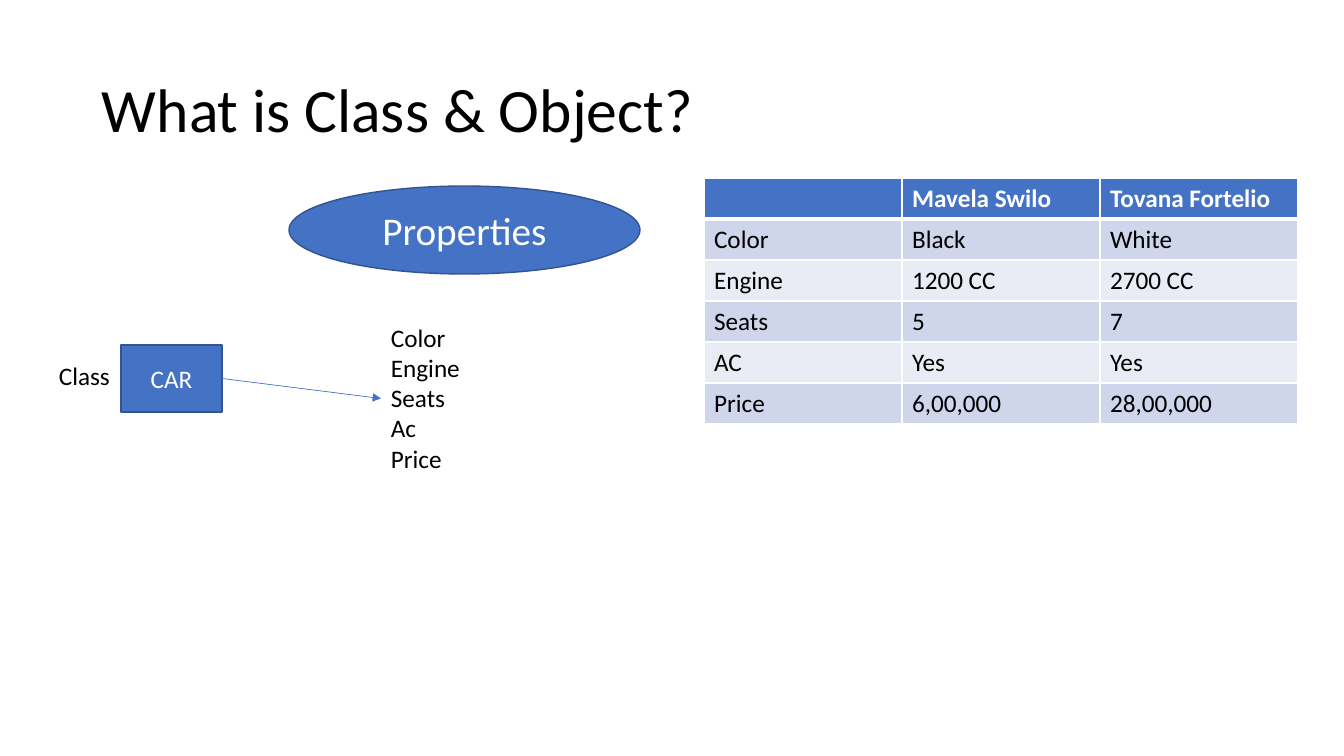
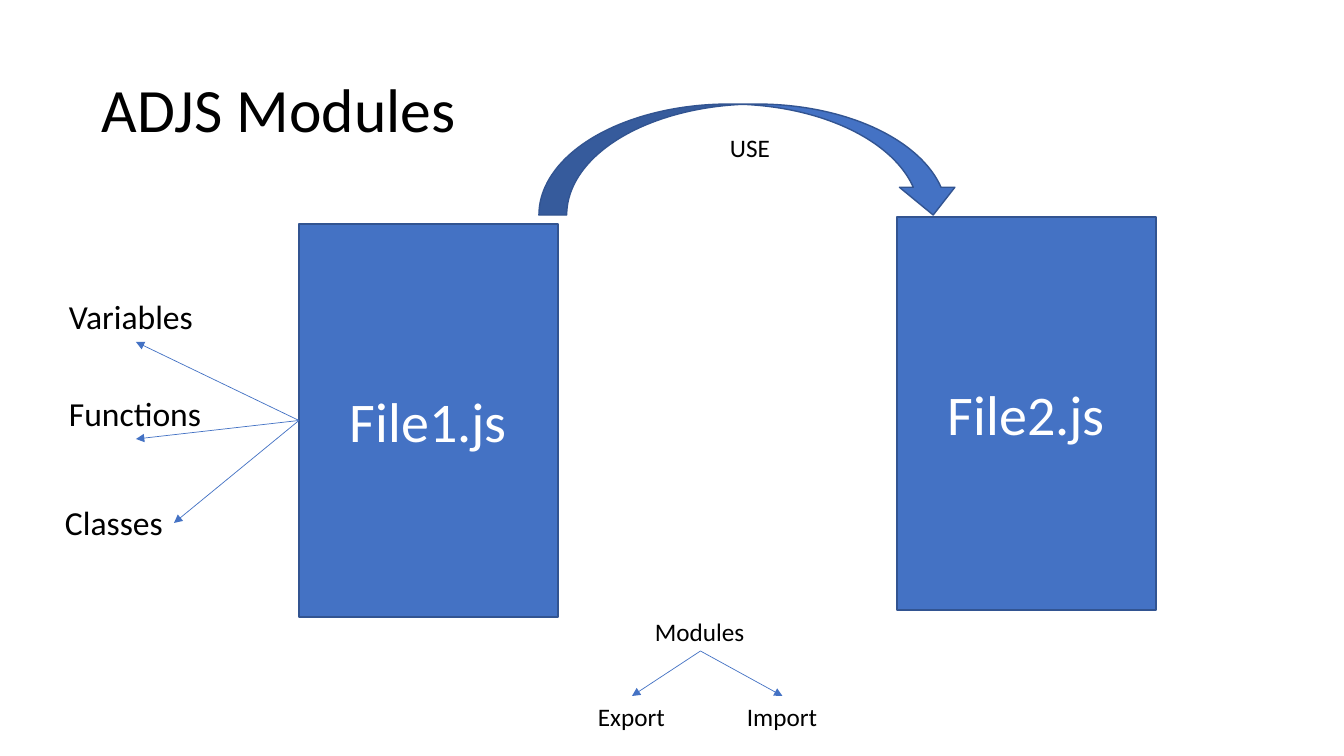
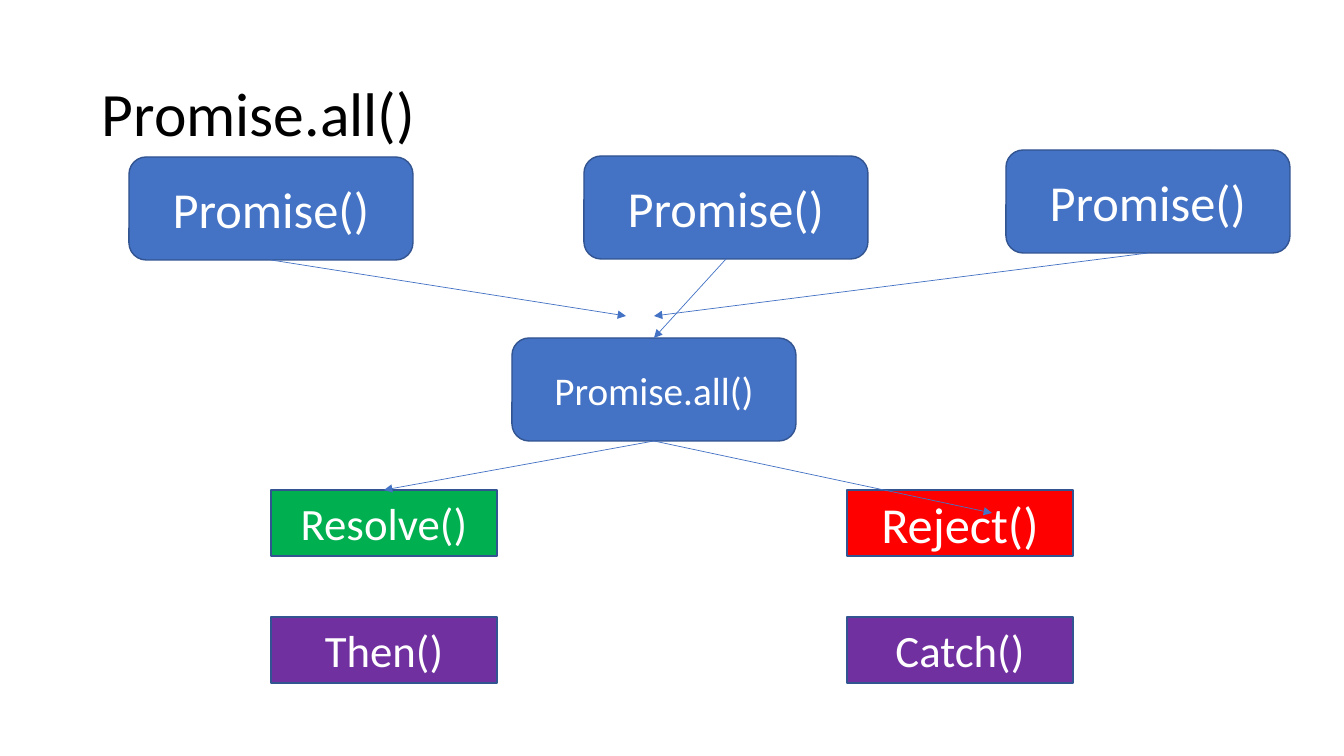
from dataclasses import dataclass

from lxml.etree import SubElement
from pptx import Presentation
from pptx.dml.color import RGBColor
from pptx.enum.shapes import MSO_CONNECTOR, MSO_SHAPE as Preset
from pptx.enum.text import MSO_ANCHOR as Anchor, MSO_AUTO_SIZE as AutoSize, PP_ALIGN as Align
from pptx.oxml.ns import qn
from pptx.util import Pt


@dataclass(frozen=True)
class Theme:
    """Colours, type sizes and line widths shared by all slides."""
    font: str = "Calibri"
    ink: str = "000000"
    paper: str = "FFFFFF"
    accent: str = "4472C4"
    edge: str = "325491"
    band_dark: str = "CFD5EA"
    band_light: str = "E9EBF5"
    green: str = "00B050"
    red: str = "FF0000"
    purple: str = "7030A0"
    title: int = 44
    file: int = 40
    call: int = 36
    outcome: int = 32
    heading: int = 28
    member: int = 24
    body: int = 18
    edge_width: float = 1
    arrow_width: float = 0.5
    header_rule: float = 3


THEME = Theme()
SLIDE_SIZE = (1344, 756)
EMU_PER_PIXEL = 12192000 / SLIDE_SIZE[0]
TITLE_LEFT, TITLE_TOP, TITLE_SIZE = 92, 40, (1159, 146)

# Class and object: boxes are (left, top, width, height)
CLASS_LABEL = ("Class", (49, 355, 72, 40))
CAR = ("CAR", (121, 345, 101, 67))
PROPERTIES = ("Properties", (289, 186, 351, 88))
PROPERTY_LIST = ("Color\nEngine\nSeats\nAc\nPrice", (381, 317, 90, 163))
OBJECTS_AT, OBJECT_CELL = (704, 178), (198, 41)
OBJECTS = [
    ("", "Mavela Swilo", "Tovana Fortelio"),
    ("Color", "Black", "White"),
    ("Engine", "1200 CC", "2700 CC"),
    ("Seats", "5", "7"),
    ("AC", "Yes", "Yes"),
    ("Price", "6,00,000", "28,00,000"),
]

# Modules
FILE_SIZE = (259, 393)
FILES = [("File1.js", (299, 224)), ("File2.js", (897, 217))]
MEMBERS = [
    ("Variables", (59, 291, 146, 50), (136, 342)),
    ("Functions", (59, 388, 154, 50), (136, 439)),
    ("Classes", (55, 497, 119, 50), (174, 523)),
]
USE = ("USE", (720, 127, 60, 40))
USE_ARROW = (539, 104, 422, 111)
MODULES = ("Modules", (645, 611, 111, 40))
DIRECTIONS = [("Export", (588, 696, 88, 40)), ("Import", (737, 696, 91, 40))]

# Promises
PROMISE_SIZE = (284, 103)
PROMISES = [
    ("Promise()", (129, 157), (626, 316)),
    ("Promise()", (584, 156), (654, 338)),
    ("Promise()", (1006, 150), (654, 316)),
]
ALL = ("Promise.all()", (512, 338, *PROMISE_SIZE))
OUTCOME_SIZE, OUTCOME_TOP, OUTCOME_STEP = (226, 66), 490, 127
OUTCOMES = [
    (271, [("Resolve()", THEME.green, THEME.outcome), ("Then()", THEME.purple, THEME.outcome)]),
    (847, [("Reject()", THEME.red, THEME.call), ("Catch()", THEME.purple, THEME.outcome)]),
]
OUTCOME_TARGETS = [(384, 490), (992, 513)]


def emu(*pixels):
    """Turn pixel lengths into whole EMU."""
    return [round(length * EMU_PER_PIXEL) for length in pixels]


def spot(box, across, down):
    """Return the point at the given fractions of a box."""
    left, top, width, height = box
    return left + width * across, top + height * down


def style(frame, text, size, colour, align=Align.LEFT, bold=False):
    """Put text in a frame and format every run."""
    frame.text = text
    for paragraph in frame.paragraphs:
        paragraph.alignment = align
        for run in paragraph.runs:
            font = run.font
            font.name, font.size, font.bold = THEME.font, Pt(size), bold
            font.color.rgb = RGBColor.from_string(colour)


def add_label(slide, text, box, size=THEME.body):
    """Add a text box that fits its lines without wrapping."""
    frame = slide.shapes.add_textbox(*emu(*box)).text_frame
    style(frame, text, size, THEME.ink)
    frame.word_wrap = False
    frame.auto_size = AutoSize.SHAPE_TO_FIT_TEXT


def add_block(slide, text, box, size, preset=Preset.RECTANGLE, fill=THEME.accent):
    """Add an outlined shape with centred text."""
    block = slide.shapes.add_shape(preset, *emu(*box))
    block.shadow.inherit = False
    block.fill.solid()
    block.fill.fore_color.rgb = RGBColor.from_string(fill)
    block.line.color.rgb = RGBColor.from_string(THEME.edge)
    block.line.width = Pt(THEME.edge_width)
    block.text_frame.vertical_anchor = Anchor.MIDDLE
    style(block.text_frame, text, size, THEME.paper, Align.CENTER)
    return block


def add_arrow(slide, start, end):
    """Draw a thin straight arrow between two points."""
    arrow = slide.shapes.add_connector(MSO_CONNECTOR.STRAIGHT, *emu(*start, *end))
    arrow.line.color.rgb = RGBColor.from_string(THEME.accent)
    arrow.line.width = Pt(THEME.arrow_width)
    properties = arrow.element.spPr
    SubElement(properties.find(qn("a:ln")), qn("a:tailEnd"), type="triangle")
    SubElement(properties, qn("a:effectLst"))


def add_borders(cell, bottom):
    """Give a cell white borders, with its own bottom width."""
    properties = cell._tc.get_or_add_tcPr()
    widths = {"a:lnL": THEME.edge_width, "a:lnR": THEME.edge_width,
              "a:lnT": THEME.edge_width, "a:lnB": bottom}
    for side, width in widths.items():
        border = SubElement(properties, qn(side), w=str(Pt(width)))
        SubElement(SubElement(border, qn("a:solidFill")), qn("a:srgbClr"), val=THEME.paper)


def add_objects(slide):
    """Add the banded table of objects."""
    width, height = OBJECT_CELL
    rows, columns = len(OBJECTS), len(OBJECTS[0])
    table = slide.shapes.add_table(
        rows, columns, *emu(*OBJECTS_AT, width * columns, height * rows)).table
    for row, values in enumerate(OBJECTS):
        header = row == 0
        band = THEME.band_dark if row % 2 else THEME.band_light
        for column, value in enumerate(values):
            cell = table.cell(row, column)
            add_borders(cell, THEME.header_rule if header else THEME.edge_width)
            cell.fill.solid()
            cell.fill.fore_color.rgb = RGBColor.from_string(THEME.accent if header else band)
            style(cell.text_frame, value, THEME.body,
                  THEME.paper if header else THEME.ink, bold=header)


def new_slide(deck, title, top=TITLE_TOP):
    """Add a blank slide with the shared title style."""
    slide = deck.slides.add_slide(deck.slide_layouts[6])
    frame = slide.shapes.add_textbox(*emu(TITLE_LEFT, top, *TITLE_SIZE)).text_frame
    style(frame, title, THEME.title, THEME.ink)
    frame.word_wrap = True
    frame.vertical_anchor = Anchor.MIDDLE
    frame.paragraphs[0].line_spacing = 0.9
    return slide


def build_class_slide(deck):
    """Show a class, its properties and two objects."""
    slide = new_slide(deck, "What is Class & Object?")
    add_label(slide, *CLASS_LABEL)
    add_block(slide, *CAR, THEME.body)
    add_block(slide, *PROPERTIES, THEME.heading, Preset.OVAL)
    add_label(slide, *PROPERTY_LIST)
    add_arrow(slide, spot(CAR[1], 1, 0.5), spot(PROPERTY_LIST[1], 0, 0.5))
    add_objects(slide)


def build_modules_slide(deck):
    """Show one file using the members of another."""
    slide = new_slide(deck, "ADJS Modules")
    for name, corner in FILES:
        add_block(slide, name, (*corner, *FILE_SIZE), THEME.file)
    source = spot((*FILES[0][1], *FILE_SIZE), 0, 0.5)
    for member, box, target in MEMBERS:
        add_label(slide, member, box, THEME.member)
        add_arrow(slide, source, target)
    bend = add_block(slide, "", USE_ARROW, THEME.body, Preset.CURVED_UP_ARROW)
    bend.rotation = 180
    bend.element.spPr.find(qn("a:xfrm")).set("flipH", "1")
    add_label(slide, *USE)
    add_label(slide, *MODULES)
    for direction, box in DIRECTIONS:
        add_label(slide, direction, box)
        add_arrow(slide, spot(MODULES[1], 0.5, 1), spot(box, 0.5, 0))


def build_promise_slide(deck):
    """Show promises joining and then settling."""
    slide = new_slide(deck, "Promise.all()", top=44)
    add_block(slide, *ALL, THEME.heading, Preset.ROUNDED_RECTANGLE)
    for left, steps in OUTCOMES:
        for index, (step, fill, size) in enumerate(steps):
            top = OUTCOME_TOP + index * OUTCOME_STEP
            add_block(slide, step, (left, top, *OUTCOME_SIZE), size, fill=fill)
    for target in OUTCOME_TARGETS:
        add_arrow(slide, spot(ALL[1], 0.5, 1), target)
    for promise, corner, target in PROMISES:
        box = (*corner, *PROMISE_SIZE)
        add_block(slide, promise, box, THEME.call, Preset.ROUNDED_RECTANGLE)
        add_arrow(slide, spot(box, 0.5, 1), target)


def main():
    """Build and save the presentation."""
    deck = Presentation()
    deck.slide_width, deck.slide_height = emu(*SLIDE_SIZE)
    build_class_slide(deck)
    build_modules_slide(deck)
    build_promise_slide(deck)
    deck.save("out.pptx")


main()
